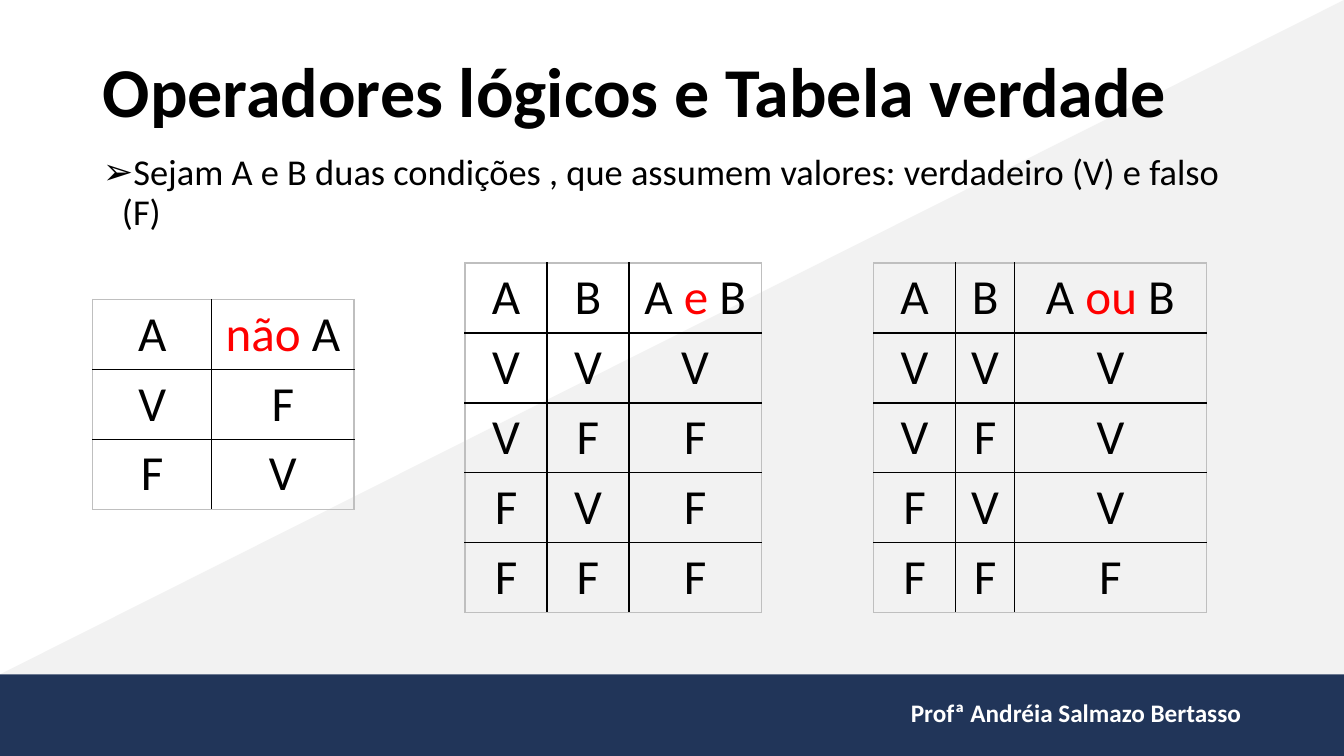
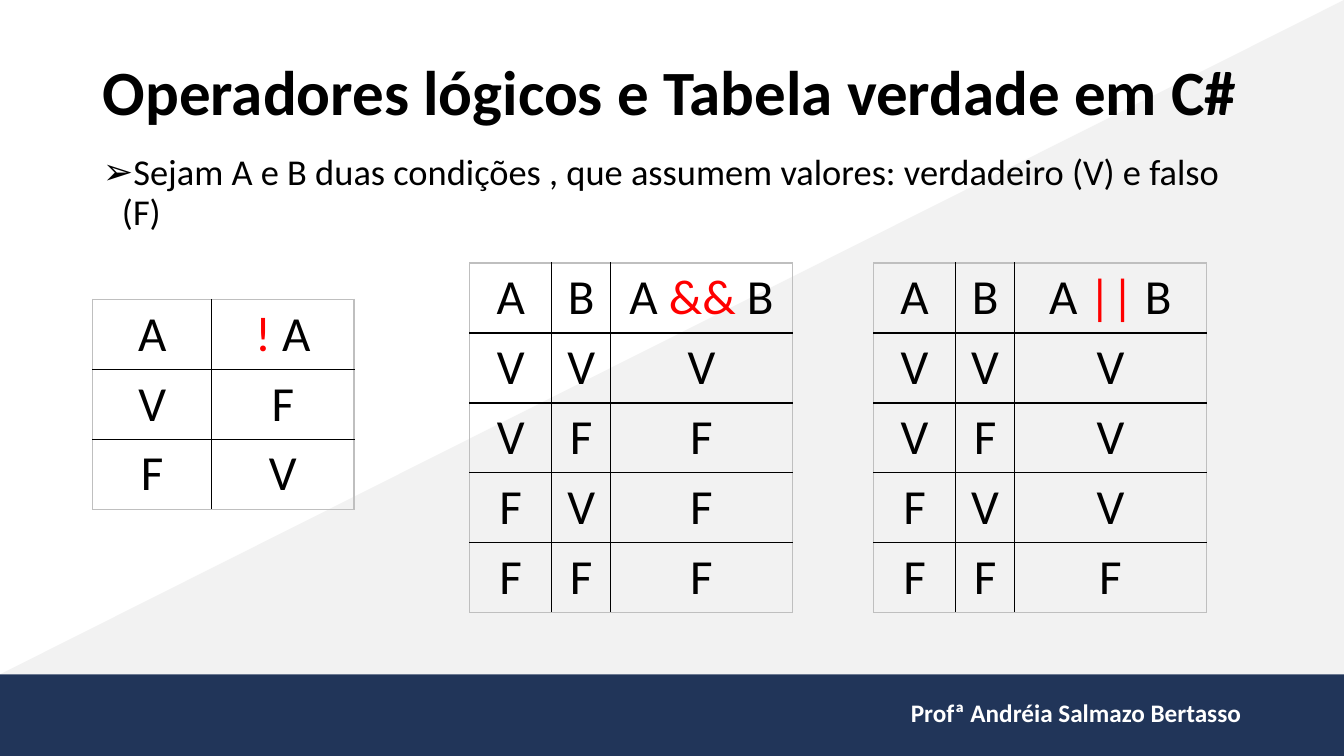
from itertools import product

from lxml.etree import SubElement
from pptx import Presentation
from pptx.dml.color import RGBColor
from pptx.enum.shapes import MSO_SHAPE as Preset
from pptx.enum.text import MSO_ANCHOR as Anchor, PP_ALIGN as Align
from pptx.oxml.ns import qn
from pptx.util import Inches, Pt

BLACK = RGBColor(0x00, 0x00, 0x00)
WHITE = RGBColor(0xFF, 0xFF, 0xFF)
RED = RGBColor(0xFF, 0x00, 0x00)
NAVY = RGBColor(0x21, 0x35, 0x59)
PALE = RGBColor(0xF2, 0xF2, 0xF2)
EDGE = RGBColor(0xBF, 0xBF, 0xBF)
FONT = "Calibri"

deck = Presentation()
deck.slide_width, deck.slide_height = Inches(13.33), Inches(7.5)

# Horizontal and vertical lengths are percentages of the slide
COLUMN, ROW = deck.slide_width / 100, deck.slide_height / 100
MARGIN, TEXT_WIDTH = 6.9, 86.25
BAND_TOP = 89.2
TABLE_ROW = 9.25


def frame(left, top, width, height):
    """Turn percentages of the slide into left, top, width and height."""
    return [round(n * unit) for n, unit in zip((left, top, width, height), (COLUMN, ROW) * 2)]


def add_span(para, text, size, color=BLACK, bold=False):
    span = para.add_run()
    span.text = text
    span.font.name, span.font.size = FONT, Pt(size)
    span.font.bold, span.font.color.rgb = bold, color


# Shared layout: placeholder positions
layout = deck.slide_layouts[1]
title_area, body_area = layout.placeholders[0], layout.placeholders[1]
for area, top, height in ((title_area, 5.35, 14.4), (body_area, 19.75, 67)):
    area.left, area.top, area.width, area.height = frame(MARGIN, top, TEXT_WIDTH, height)

# Slides: title, operators, and left edge and column widths of the middle table
SLIDES = [
    ("Operadores lógicos e Tabela verdade", 50, ("não", "e", "ou"), 34.6, (6.1, 6.1, 9.85)),
    ("Operadores lógicos e Tabela verdade em C#", 45, ("!", "&&", "||"), 34.95, (6.1, 4.4, 13.5)),
]
PREMISE = "Sejam A e B duas condições , que assumem valores: verdadeiro (V) e falso (F)"

# "V" sorts after "F", so min works as "and" and max as "or"
PAIRS = list(product("VF", repeat=2))
NOT_ROWS = [("V", "F"), ("F", "V")]
AND_ROWS = [(*pair, min(pair)) for pair in PAIRS]
OR_ROWS = [(*pair, max(pair)) for pair in PAIRS]

for title, title_size, (negation, conjunction, disjunction), middle_left, middle_widths in SLIDES:
    page = deck.slides.add_slide(layout)

    heading = page.shapes.title.text_frame
    heading.vertical_anchor = Anchor.MIDDLE
    para = heading.paragraphs[0]
    para.alignment, para.line_spacing = Align.LEFT, 0.9
    add_span(para, title, title_size, bold=True)

    para = page.placeholders[1].text_frame.paragraphs[0]
    para.line_spacing, para.space_before = 0.9, Pt(7.5)
    add_span(para, PREMISE, 26)
    bullet = para._p.get_or_add_pPr()
    bullet.set("marL", str(Inches(0.19)))
    bullet.set("indent", str(-Inches(0.19)))
    SubElement(bullet, qn("a:buFont")).set("typeface", "Arial")
    SubElement(bullet, qn("a:buChar")).set("char", "➢")

    # Header cells list their runs; the operator is the red one
    tables = [
        (MARGIN, 39.6, (8.85, 10.6), [["A"], [negation, " A"]], negation, NOT_ROWS),
        (middle_left, 34.8, middle_widths,
         [["A"], ["B"], ["A ", conjunction, " B"]], conjunction, AND_ROWS),
        (65, 34.8, (6.1, 4.4, 14.25),
         [["A"], ["B"], ["A ", disjunction, " B"]], disjunction, OR_ROWS),
    ]
    for left, top, widths, header, operator, truth_rows in tables:
        rows = [header, *truth_rows]
        last_row, last_column = len(rows) - 1, len(widths) - 1
        table = page.shapes.add_table(
            len(rows), len(widths),
            *frame(left, top, sum(widths), TABLE_ROW * len(rows))).table
        table.first_row = table.horz_banding = False
        for column, width in zip(table.columns, widths):
            column.width = round(width * COLUMN)
        for r, row in enumerate(rows):
            for c, texts in enumerate(row):
                cell = table.cell(r, c)
                para = cell.text_frame.paragraphs[0]
                para.alignment = Align.CENTER
                for text in texts:
                    add_span(para, text, 35, RED if text == operator else BLACK)
                outer_sides = {"lnL": c == 0, "lnR": c == last_column,
                               "lnT": r == 0, "lnB": r == last_row}
                for side, is_outer in outer_sides.items():
                    border = SubElement(cell._tc.get_or_add_tcPr(), qn(f"a:{side}"), w=str(Pt(1)))
                    fill = SubElement(border, qn("a:solidFill"))
                    SubElement(fill, qn("a:srgbClr")).set("val", str(EDGE if is_outer else BLACK))
                cell.fill.background()

# Shared backdrop: drawn on the first slide, then moved to the back of the layout
shapes = deck.slides[0].shapes
triangle = shapes.add_shape(Preset.RIGHT_TRIANGLE, *frame(0, 0, 100, BAND_TOP))
triangle.element.spPr.xfrm.set("flipH", "1")
band = shapes.add_shape(Preset.RECTANGLE, *frame(0, BAND_TOP, 100, 100 - BAND_TOP))
for shape, color in ((triangle, PALE), (band, NAVY)):
    shape.shadow.inherit = False
    shape.fill.solid()
    shape.fill.fore_color.rgb = color
    shape.line.fill.background()

footer = shapes.add_textbox(*frame(65.94, 91.6, 27.15, 5.35))
footer.text_frame.word_wrap = True
para = footer.text_frame.paragraphs[0]
para.alignment = Align.RIGHT
add_span(para, "Profª Andréia Salmazo Bertasso", 18, WHITE, bold=True)

for position, shape in enumerate((triangle, band, footer), start=2):
    layout.shapes.element.insert(position, shape.element)

deck.save("out.pptx")
